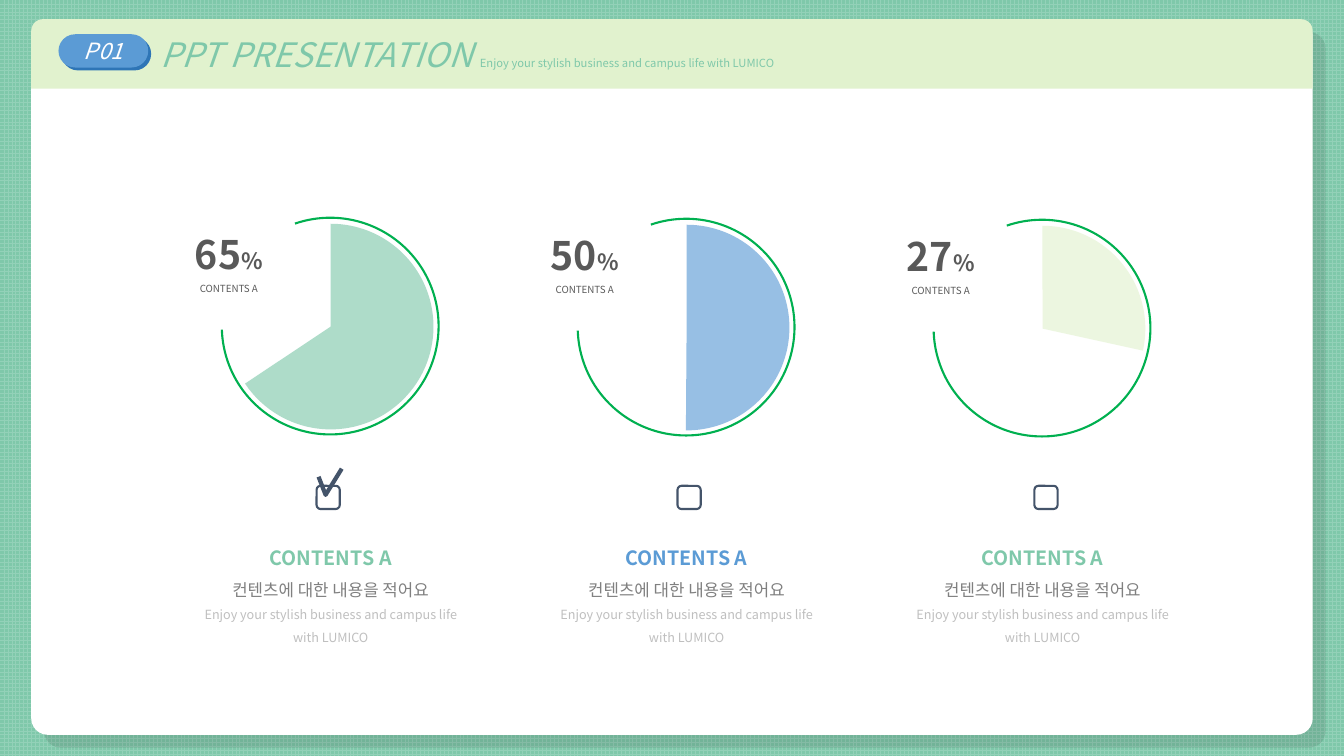
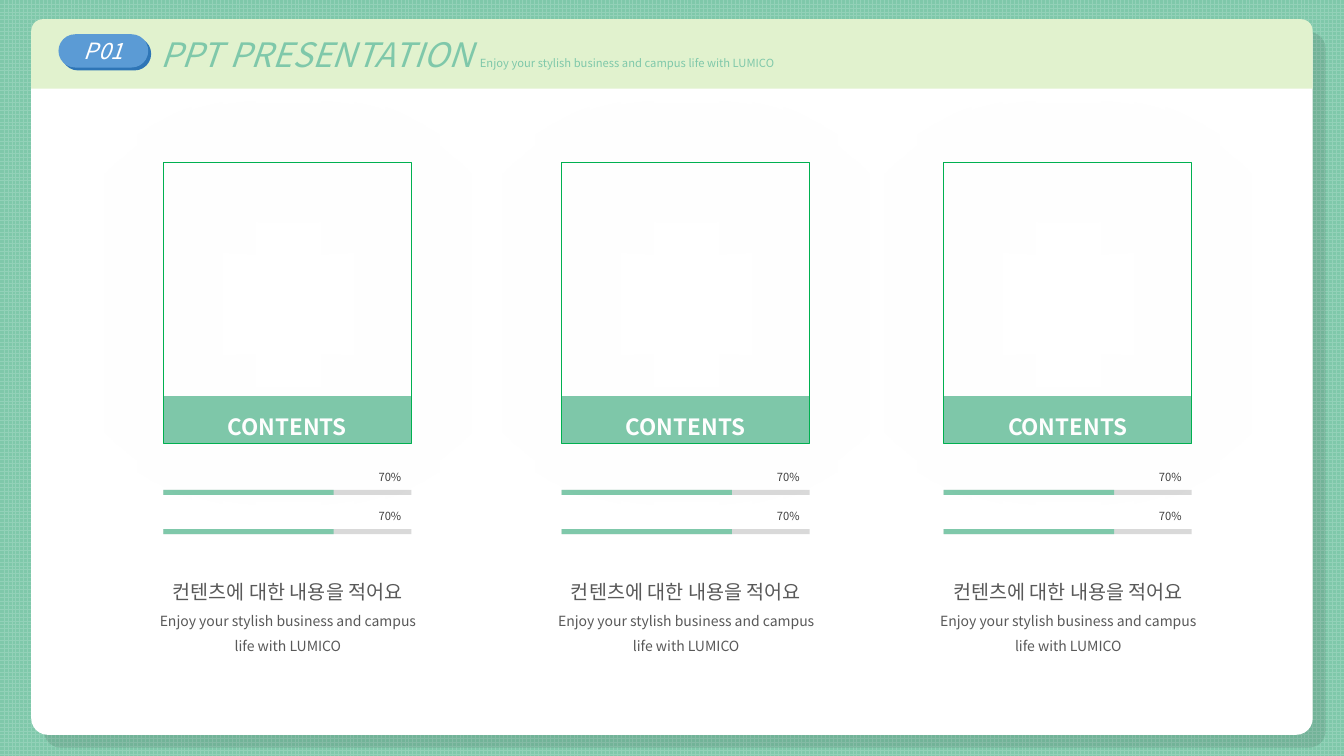
"""Build two infographic slides: pie comparison and content cards with progress bars."""
from dataclasses import dataclass
from typing import Any, Optional

from lxml.etree import SubElement
from pptx import Presentation
from pptx.dml.color import RGBColor
from pptx.enum.dml import MSO_PATTERN
from pptx.enum.shapes import MSO_SHAPE
from pptx.enum.text import MSO_ANCHOR, MSO_AUTO_SIZE, PP_ALIGN
from pptx.oxml.ns import qn
from pptx.util import Inches, Pt

COLORS = {
    "mint": "7FC8AA", "grid": "93D1B8", "lime": "E1F2CE", "blue": "5B9BD5",
    "deep_blue": "2E75B6", "green": "00B050", "navy": "44546A", "white": "FFFFFF",
    "black": "000000", "track": "D9D9D9", "pale": "BFBFBF", "mid": "808080",
    "gray": "595959", "dark": "404040",
}
FONT = "Noto Sans CJK KR"
TAGLINE = "Enjoy your stylish business and campus life with LUMICO"
KOREAN = "컨텐츠에 대한 내용을 적어요"
CENTER = {"alignment": PP_ALIGN.CENTER}
SPACED = {"alignment": PP_ALIGN.CENTER, "line_spacing": 1.5}
RIGHT = {"alignment": PP_ALIGN.RIGHT, "line_spacing": 1.5}
MIDDLE = {"vertical_anchor": MSO_ANCHOR.MIDDLE}
CAPTION = {"word_wrap": True, "auto_size": MSO_AUTO_SIZE.SHAPE_TO_FIT_TEXT}


@dataclass
class Run:
    text: str
    size: float
    color: str
    bold: bool = False
    italic: bool = False


@dataclass
class Para:
    runs: list[Run]
    formats: dict[str, Any]


@dataclass
class Shadow:
    color: str
    alpha: int
    blur: float
    distance: float
    angle: int


@dataclass
class Pie:
    percent: str
    color: str
    heading: str
    end_angle: float
    box_left: float
    checked: bool = False


PIES = [
    Pie("65", "mint", "mint", 146.3, 3.14, True),
    Pie("50", "blue", "blue", 90.38, 6.72),
    Pie("27", "lime", "mint", 12.37, 10.26),
]
CARD_LEFTS = [1.62, 5.57, 9.36]
BAR_TOPS = [4.86, 5.25]


def rgb(name: str) -> RGBColor:
    return RGBColor.from_string(COLORS[name])


def apply(target: Any, formats: dict[str, Any]) -> None:
    for name, value in formats.items():
        setattr(target, name, value)


def write(tf: Any, paras: list[Para], formats: dict[str, Any]) -> None:
    apply(tf, formats)
    for i, para in enumerate(paras):
        p = tf.paragraphs[0] if i == 0 else tf.add_paragraph()
        apply(p, para.formats)
        for run in para.runs:
            r = p.add_run()
            r.text = run.text
            apply(r.font, {"size": Pt(run.size), "bold": run.bold,
                           "italic": run.italic, "name": FONT})
            r.font.color.rgb = rgb(run.color)
            SubElement(r.font._element, qn("a:ea"), typeface=FONT)


def finish(sp: Any, fill: Optional[str], line: Optional[str], width: float,
           alpha: int = 100, shadow: Optional[Shadow] = None) -> None:
    if fill:
        sp.fill.solid()
        sp.fill.fore_color.rgb = rgb(fill)
        if alpha < 100:
            color = sp.element.spPr.find(qn("a:solidFill"))[0]
            SubElement(color, qn("a:alpha"), val=str(alpha * 1000))
    else:
        sp.fill.background()
    if line:
        sp.line.color.rgb = rgb(line)
        sp.line.width = Pt(width)
    else:
        sp.line.fill.background()
    sp.shadow.inherit = False
    if shadow:
        effects = sp.element.spPr.find(qn("a:effectLst"))
        outer = SubElement(effects, qn("a:outerShdw"), blurRad=str(Pt(shadow.blur)),
                           dist=str(Pt(shadow.distance)), dir=str(shadow.angle * 60000),
                           algn="ctr", rotWithShape="0")
        color = SubElement(outer, qn("a:srgbClr"), val=COLORS[shadow.color])
        SubElement(color, qn("a:alpha"), val=str(shadow.alpha * 1000))


def add_shape(s: Any, kind: Any, at: tuple[float, ...], fill: Optional[str] = None,
              line: Optional[str] = None, width: float = 1, adj: tuple[float, ...] = (),
              alpha: int = 100, shadow: Optional[Shadow] = None) -> Any:
    sp = s.shapes.add_shape(kind, *map(Inches, at))
    for i, value in enumerate(adj):
        sp.adjustments[i] = value
    finish(sp, fill, line, width, alpha, shadow)
    return sp


def add_arc(s: Any, at: tuple[float, ...], start: float, end: float, **look: Any) -> None:
    add_shape(s, MSO_SHAPE.ARC, at, adj=(start * 0.6, end * 0.6), **look)


def add_text(s: Any, at: tuple[float, ...], paras: list[Para], **formats: Any) -> None:
    sp = s.shapes.add_textbox(*map(Inches, at))
    write(sp.text_frame, paras, {**CAPTION, **formats})


def add_base_slide(prs: Any) -> Any:
    s = prs.slides.add_slide(prs.slide_layouts[5])
    band = (0.31, 0.19, 12.71, 0.69)
    add_shape(s, MSO_SHAPE.ROUNDED_RECTANGLE, (0.31, 0.19, 12.71, 7.1), "white",
              adj=(0.023,), shadow=Shadow("black", 10, 0, 13, 45))
    add_shape(s, MSO_SHAPE.ROUND_2_SAME_RECTANGLE, band, "lime")
    title = s.shapes.title
    apply(title, dict(zip(("left", "top", "width", "height"), map(Inches, band))))
    write(title.text_frame,
          [Para([Run("PPT PRESENTATION ", 24, "mint", italic=True), Run(TAGLINE, 8, "mint")],
                {"alignment": PP_ALIGN.LEFT})],
          {**MIDDLE, "margin_left": Inches(1.28), "auto_size": MSO_AUTO_SIZE.NONE})
    s.shapes.element.append(title.element)
    pill = add_shape(s, MSO_SHAPE.ROUNDED_RECTANGLE, (0.58, 0.34, 0.89, 0.33), "blue",
                     adj=(0.5,), shadow=Shadow("deep_blue", 100, 0, 3, 45))
    write(pill.text_frame, [Para([Run("P01", 16, "white", italic=True)], CENTER)], MIDDLE)
    return s


def add_check(s: Any) -> None:
    points = [(Inches(x), Inches(y)) for x, y in ((3.16, 4.73), (3.23, 4.91), (3.39, 4.65))]
    builder = s.shapes.build_freeform(*points[0])
    builder.add_line_segments(points[1:], close=False)
    finish(builder.convert_to_shape(), None, "navy", 3)


def add_pie(s: Any, pie: Pie, left: float, top: float) -> None:
    add_arc(s, (left, top, 2.15, 2.15), 251.04, 178.11, line="green", width=1.5)
    add_arc(s, (left + 0.06, top + 0.06, 2.04, 2.04), 270, pie.end_angle,
            fill=pie.color, alpha=63)
    add_text(s, (left - 0.71, top + 0.06, 1.56, 0.77), [
        Para([Run(pie.percent, 28, "gray", True), Run("%", 16, "gray", True)], CENTER),
        Para([Run("CONTENTS A", 7, "gray")], SPACED),
    ], **MIDDLE)
    add_text(s, (left - 0.27, 5.25, 2.7, 1.21), [
        Para([Run("CONTENTS A", 14, pie.heading, True)], SPACED),
        Para([Run(KOREAN, 12, "mid")], SPACED),
        Para([Run(TAGLINE, 9, "pale")], SPACED),
    ])
    add_shape(s, MSO_SHAPE.ROUNDED_RECTANGLE, (pie.box_left, 4.82, 0.23, 0.23), "white",
              "navy", 1.5, adj=(0.171,))
    if pie.checked:
        add_check(s)


def add_bar(s: Any, left: float, top: float) -> None:
    for width, color in ((2.46, "track"), (1.69, "mint")):
        add_shape(s, MSO_SHAPE.RECTANGLE, (left, top, width, 0.05), color)
    add_text(s, (left + 1.79, top - 0.31, 0.67, 0.3),
             [Para([Run("70%", 8, "dark")], RIGHT)])


def add_card(s: Any, left: float) -> None:
    add_text(s, (left - 0.15, 5.59, 2.77, 0.96), [
        Para([Run(KOREAN, 14, "gray")], SPACED),
        Para([Run(TAGLINE, 10, "gray")], SPACED),
    ])
    label = add_shape(s, MSO_SHAPE.RECTANGLE, (left, 3.93, 2.46, 0.47), "mint")
    write(label.text_frame, [Para([Run("CONTENTS", 16, "white", True)], SPACED)], MIDDLE)
    for top in BAR_TOPS:
        add_bar(s, left, top)
    add_shape(s, MSO_SHAPE.RECTANGLE, (left, 1.61, 2.46, 2.79), line="green",
              shadow=Shadow("black", 30, 76, 0, 0))


def main() -> None:
    prs = Presentation()
    apply(prs, {"slide_width": Inches(13.33), "slide_height": Inches(7.5)})
    fill = prs.slide_master.background.fill
    fill.patterned()
    fill.pattern = MSO_PATTERN.LARGE_GRID
    fill.fore_color.rgb = rgb("grid")
    fill.back_color.rgb = rgb("mint")

    s = add_base_slide(prs)
    for i, pie in enumerate(PIES):
        add_pie(s, pie, 2.2 + 3.53 * i, 2.16 + 0.01 * i)

    s = add_base_slide(prs)
    for left in CARD_LEFTS:
        add_card(s, left)
    prs.save("out.pptx")


if __name__ == "__main__":
    main()
